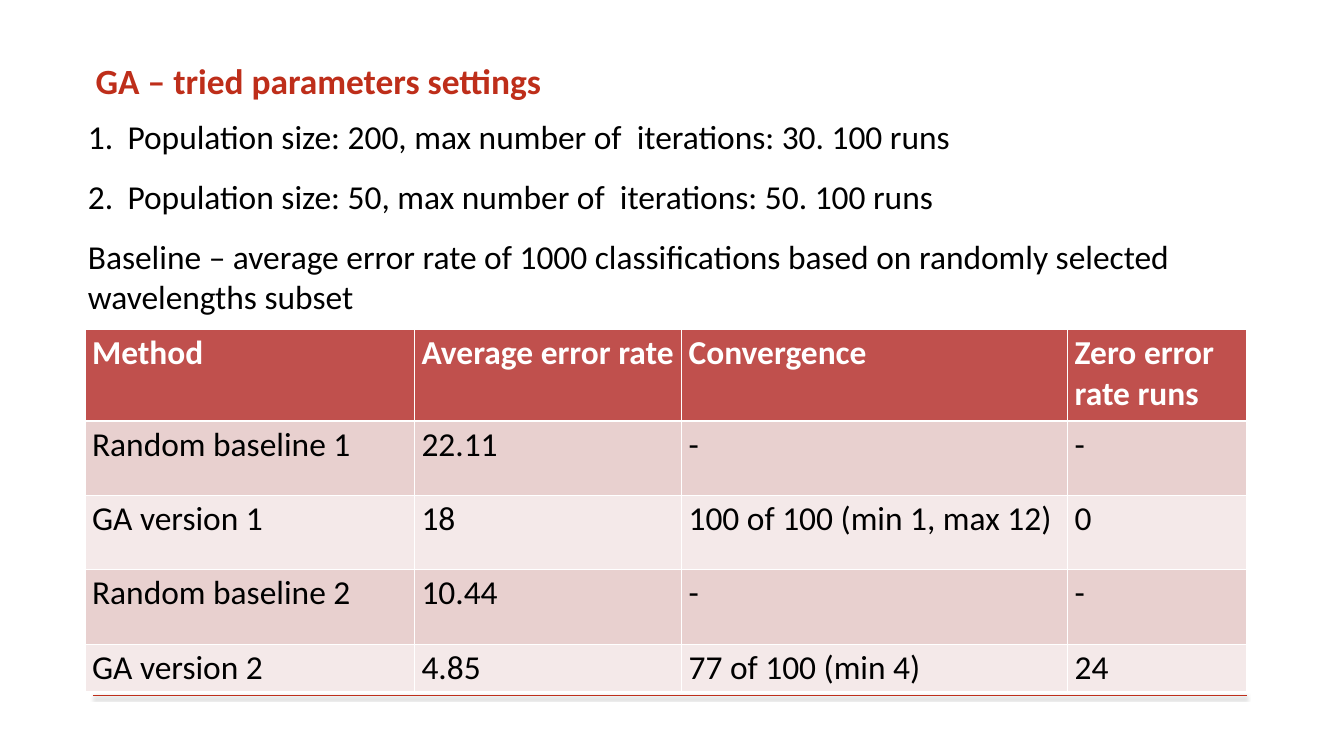
from lxml import etree
from pptx import Presentation
from pptx import util as u
from pptx.dml.color import RGBColor
from pptx.enum import shapes, text
from pptx.oxml.ns import qn

RED, BLACK, WHITE = "BE2E1A", "000000", "FFFFFF"
HEADER_FILL, BAND_FILLS = "C0504D", ("E8D0CF", "F4E9E9")

TITLE = "GA – tried parameters settings"
SETTINGS = [
    "Population size: 200, max number of  iterations: 30. 100 runs",
    "Population size: 50, max number of  iterations: 50. 100 runs",
]
BASELINE = ("Baseline – average error rate of 1000 classifications based on "
            "randomly selected wavelengths subset")
RESULTS = [
    ["Method", "Average error rate", "Convergence", "Zero error rate runs"],
    ["Random baseline 1", "22.11", "-", "-"],
    ["GA version 1", "18", "100 of 100 (min 1, max 12)", "0"],
    ["Random baseline 2", "10.44", "-", "-"],
    ["GA version 2", "4.85", "77 of 100 (min 4)", "24"],
]
COLUMN_WIDTHS = [4.65, 3.77, 5.45, 2.53]
ROW_HEIGHTS = [1.29, 1.05, 1.05, 1.05, 0.67]


def color(hex_string):
    return RGBColor.from_string(hex_string)


def add_xml(parent, tag, **attributes):
    return etree.SubElement(parent, qn(tag), attributes)


class SlideBuilder:
    font_name = "Calibri"
    body_size = 34

    def __init__(self, presentation):
        layout = presentation.slide_layouts.get_by_name("Title and Content")
        self.slide = presentation.slides.add_slide(layout)

    def format_runs(self, paragraph, size, hex_string, bold=False):
        paragraph.alignment = text.PP_ALIGN.LEFT
        for run in paragraph.runs:
            run.font.name = self.font_name
            run.font.size = u.Pt(size)
            run.font.bold = bold
            run.font.color.rgb = color(hex_string)

    def place(self, shape, left, top, width, height):
        """Move a placeholder and give it the slide's text frame settings."""
        shape.left, shape.top = u.Inches(left), u.Inches(top)
        shape.width, shape.height = u.Inches(width), u.Inches(height)
        frame = shape.text_frame
        frame.word_wrap = True
        frame.auto_size = text.MSO_AUTO_SIZE.NONE
        frame.vertical_anchor = text.MSO_ANCHOR.TOP
        frame.margin_left = frame.margin_right = u.Inches(0.04)
        frame.margin_top = frame.margin_bottom = u.Inches(0.04)
        return frame

    def title(self, wording, *box):
        frame = self.place(self.slide.shapes.title, *box)
        frame.text = wording
        self.format_runs(frame.paragraphs[0], 36, RED, bold=True)

    def body(self, numbered, closing, *box):
        """Fill the body with numbered lines and one plain closing line."""
        frame = self.place(self.slide.placeholders[1], *box)
        frame.text = "\n".join(numbered + [closing])
        for index, paragraph in enumerate(frame.paragraphs):
            self.format_runs(paragraph, self.body_size, BLACK)
            paragraph.space_before = u.Pt(20)
            is_numbered = index < len(numbered)
            indent = u.Inches(0.56) if is_numbered else 0
            properties = paragraph._p.get_or_add_pPr()
            properties.set("marL", str(indent))
            properties.set("indent", str(-indent))
            if is_numbered:
                add_xml(properties, "a:buFont", typeface="+mj-lt")
                add_xml(properties, "a:buAutoNum", type="arabicPeriod")
            else:
                add_xml(properties, "a:buNone")

    def border(self, cell, side, width):
        line = add_xml(cell._tc.get_or_add_tcPr(), f"a:ln{side}", w=str(u.Pt(width)))
        fill = add_xml(line, "a:solidFill")
        add_xml(fill, "a:srgbClr", val=WHITE)

    def table(self, rows, widths, heights, left, top):
        frame = self.slide.shapes.add_table(
            len(rows), len(widths), u.Inches(left), u.Inches(top),
            u.Inches(sum(widths)), u.Inches(sum(heights)))
        table = frame.table
        for column, width in zip(table.columns, widths):
            column.width = u.Inches(width)
        for row_index, values in enumerate(rows):
            table.rows[row_index].height = u.Inches(heights[row_index])
            is_header = row_index == 0
            fill = HEADER_FILL if is_header else BAND_FILLS[(row_index - 1) % 2]
            thick_side = {0: "B", 1: "T"}.get(row_index)
            for column_index, value in enumerate(values):
                cell = table.cell(row_index, column_index)
                cell.text_frame.text = value
                self.format_runs(cell.text_frame.paragraphs[0], self.body_size,
                                 WHITE if is_header else BLACK, is_header)
                for side in "LRTB":
                    self.border(cell, side, 3 if side == thick_side else 0.96)
                cell.fill.solid()
                cell.fill.fore_color.rgb = color(fill)

    def rule(self, left, right, y):
        """Draw the horizontal footer line with its soft shadow."""
        line = self.slide.shapes.add_connector(
            shapes.MSO_CONNECTOR.STRAIGHT,
            u.Inches(left), u.Inches(y), u.Inches(right), u.Inches(y))
        line.line.color.rgb = color(RED)
        line.line.width = u.Pt(1.5)
        effects = add_xml(line._element.spPr, "a:effectLst")
        shadow = add_xml(effects, "a:outerShdw", blurRad=str(u.Pt(3.1)),
                         dist=str(u.Pt(1.6)), dir="5400000", rotWithShape="0")
        shade = add_xml(shadow, "a:srgbClr", val=BLACK)
        add_xml(shade, "a:alpha", val="38000")


def main():
    presentation = Presentation()
    presentation.slide_width = u.Inches(18.97)
    presentation.slide_height = u.Inches(10.67)
    builder = SlideBuilder(presentation)
    builder.rule(1.31, 17.6, 9.82)
    builder.title(TITLE, 1.31, 0.79, 16.28, 0.94)
    builder.body(SETTINGS, BASELINE, 1.2, 1.6, 16.07, 2.35)
    builder.table(RESULTS, COLUMN_WIDTHS, ROW_HEIGHTS, 1.2, 4.65)
    presentation.save("out.pptx")


if __name__ == "__main__":
    main()
